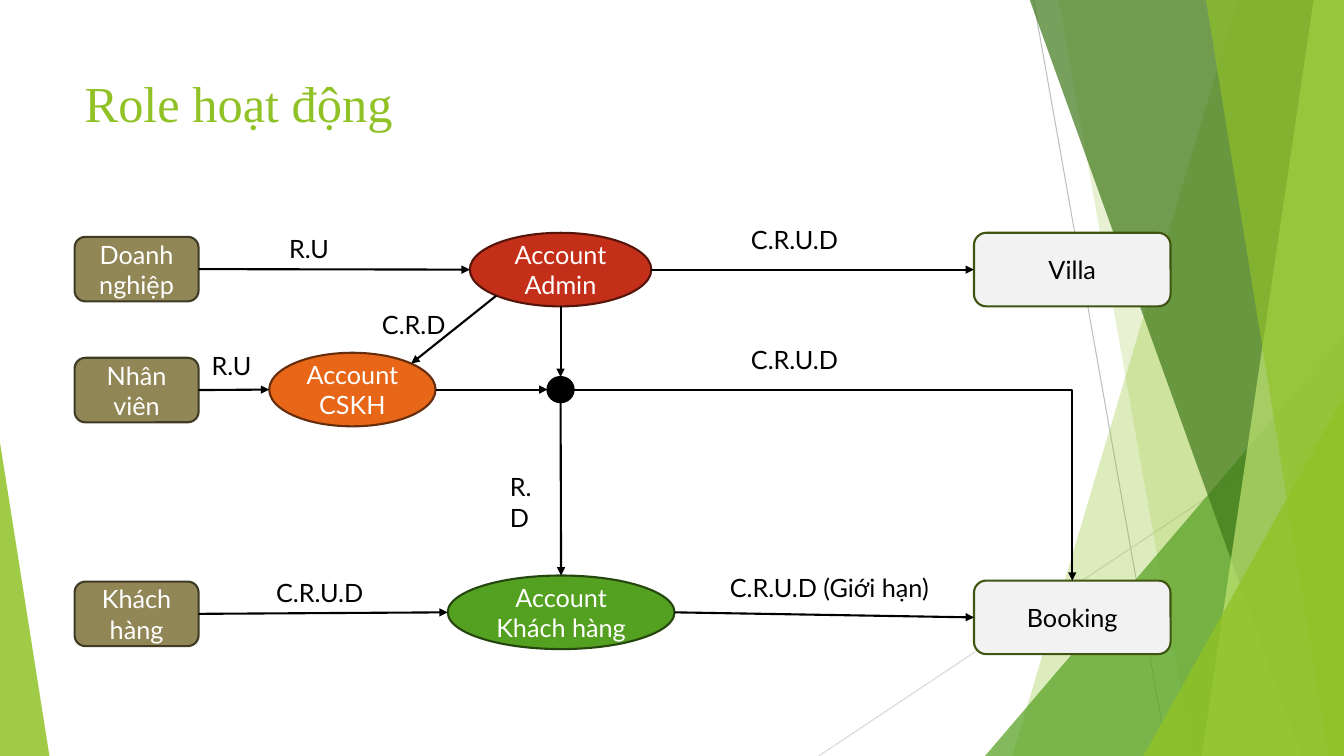
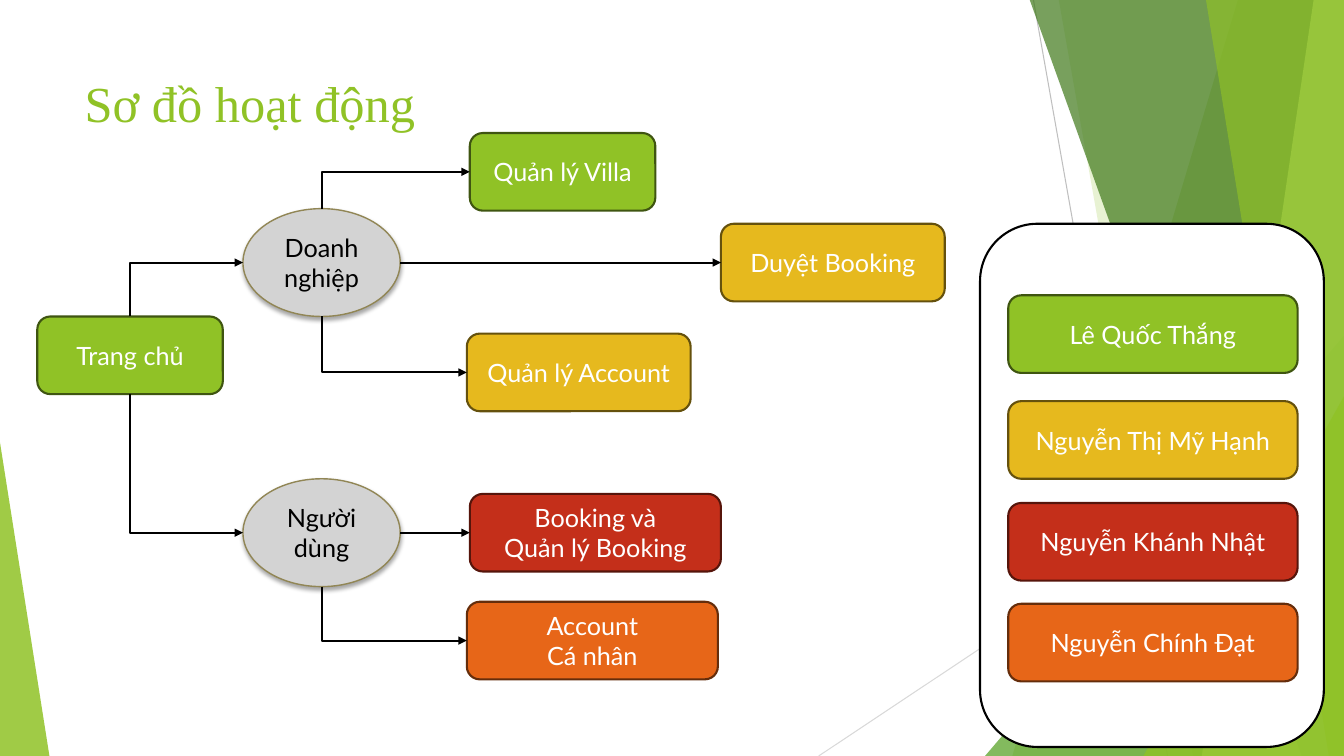
from lxml.etree import SubElement
from pptx import Presentation
from pptx.dml.color import RGBColor
from pptx.enum.shapes import MSO_CONNECTOR, MSO_SHAPE
from pptx.enum.text import MSO_ANCHOR, MSO_AUTO_SIZE, PP_ALIGN
from pptx.oxml.ns import qn
from pptx.util import Inches, Pt

WIDTH, HEIGHT = 13.33, 7.5
COLORS = {
    "lime": "90C226", "lime edge": "3F5511", "pale lime": "C0E474",
    "green": "54A021", "green edge": "25460E", "forest": "3F7819",
    "gold": "E6B91E", "gold edge": "65510D", "red": "C42F1A", "red edge": "56150B",
    "orange": "E76618", "orange edge": "652D0B", "olive": "918655",
    "olive edge": "403B25", "mist": "F2F2F2", "silver": "D3D3D3",
    "black": "000000", "white": "FFFFFF", "rule": "BFBFBF", "pale rule": "D9D9D9",
}
# Node styles: fill, outline, text colour, outline width
STYLES = {name: (name, name + " edge", "white", 1.5)
          for name in ("lime", "green", "gold", "red", "orange", "olive")}
STYLES.update({
    "target": ("mist", "lime edge", "black", 1.5),
    "area": ("silver", "olive", "black", 1),
    "dot": ("black", "black", "white", 1.5),
    "panel": ("white", "black", "black", 1.5),
})
TITLE_FONT = {"name": "Times New Roman", "size": Pt(36), "bold": False}
BODY_FONT = {"name": "Lato", "size": Pt(18)}
TITLE_BOX = {"left": Inches(0.74), "top": Inches(0.67),
             "width": Inches(9.4), "height": Inches(1.44)}
# Connection sites: ellipse index, share of width, share of height
SITES = {
    "top": (0, 0.5, 0), "left": (2, 0, 0.5), "low left": (3, 0.146, 0.854),
    "bottom": (4, 0.5, 1), "right": (6, 1, 0.5), "high right": (7, 0.854, 0.146),
}
ROUND, OVAL = MSO_SHAPE.ROUNDED_RECTANGLE, MSO_SHAPE.OVAL


def color(name):
    """Return the named colour."""
    return RGBColor.from_string(COLORS[name])


def set_values(target, values):
    """Set each attribute in a dict of format values."""
    for name, value in values.items():
        setattr(target, name, value)


def place(box, left, top, *size):
    """Return lengths for a position counted from the corner of a box."""
    return [Inches(value) for value in (box[0] + left, box[1] + top, *size)]


def write(frame, text, font, color_name, align):
    """Write one paragraph for each line of text."""
    for index, line in enumerate(text.split("\n")):
        para = frame.paragraphs[0] if index == 0 else frame.add_paragraph()
        para.alignment = align
        span = para.add_run()
        span.text = line
        set_values(span.font, font)
        span.font.color.rgb = color(color_name)


def paint(shape, fill, alpha=100):
    """Give a shape a plain fill with the given opacity."""
    shape.shadow.inherit = False
    shape.fill.solid()
    shape.fill.fore_color.rgb = color(fill)
    if alpha < 100:
        tone = shape.element.spPr.find(qn("a:solidFill")).find(qn("a:srgbClr"))
        SubElement(tone, qn("a:alpha"), val=str(alpha * 1000))


def draw_line(shapes, kind, start, end, color_name, width):
    """Draw a connector without a shadow."""
    line = shapes.add_connector(kind, *start, *end)
    line.line.color.rgb = color(color_name)
    line.line.width = Pt(width)
    SubElement(line.element.spPr, qn("a:effectLst"))
    return line


def add_scenery(page, master):
    """Build the green facets as one group and hand it to the master."""
    group = page.shapes.add_group_shape()
    shapes = group.shapes

    def facet(top, bottom, fill, alpha):
        """Draw a band that reaches from a slanted edge to the right side."""
        corners = [(Inches(x), Inches(y)) for x, y in (
            (top, -0.01), (WIDTH, -0.01), (WIDTH, HEIGHT), (bottom, HEIGHT))]
        builder = shapes.build_freeform(*corners[0])
        builder.add_line_segments(corners[1:], close=True)
        finish(builder.convert_to_shape(), fill, alpha)

    def wedge(left, top, width, peak, fill, alpha):
        """Draw a right triangle that stands on the lower edge."""
        shape = shapes.add_shape(MSO_SHAPE.ISOSCELES_TRIANGLE,
                                 *place((0, 0), left, top, width, HEIGHT - top))
        shape.adjustments[0] = peak
        finish(shape, fill, alpha)

    def finish(shape, fill, alpha):
        """Fill a facet and drop its outline."""
        paint(shape, fill, alpha)
        shape.line.fill.background()

    for start, end, tone in (((10.25, 0), (11.58, HEIGHT), "rule"),
                             ((WIDTH, 4.03), (8.12, HEIGHT), "pale rule")):
        draw_line(shapes, MSO_CONNECTOR.STRAIGHT, place((0, 0), *start),
                  place((0, 0), *end), tone, 0.75)
    facet(12.28, 10.04, "lime", 30)
    facet(10.5, 11.83, "lime", 20)
    wedge(9.77, 3.33, 3.56, 1, "green", 72)
    facet(10.21, 12.91, "forest", 70)
    facet(13.03, 11.92, "pale lime", 70)
    facet(11.96, 13.18, "lime", 65)
    wedge(11.34, 3.93, 1.99, 1, "lime", 80)
    wedge(0, 4.39, 0.49, 0, "lime", 85)
    for number, mark in enumerate(group.element.iter(qn("p:cNvPr")), 100):
        mark.set("id", str(number))
    master.shapes.element.insert(2, group.element)


def add_page(deck, title):
    """Add a title-only slide and format its title."""
    page = deck.slides.add_slide(deck.slide_layouts[5])
    heading = page.shapes.title
    set_values(heading, TITLE_BOX)
    set_values(heading.text_frame, {"vertical_anchor": MSO_ANCHOR.TOP,
                                    "word_wrap": True})
    write(heading.text_frame, title, TITLE_FONT, "lime", PP_ALIGN.LEFT)
    return page


def add_node(page, kind, text, bounds, style):
    """Add a filled and outlined shape with centred text."""
    fill, edge, text_color, width = STYLES[style]
    node = page.shapes.add_shape(kind, *bounds)
    paint(node, fill)
    node.line.color.rgb = color(edge)
    node.line.width = Pt(width)
    if text:
        set_values(node.text_frame, {"word_wrap": True,
                                     "vertical_anchor": MSO_ANCHOR.MIDDLE})
        write(node.text_frame, text, BODY_FONT, text_color, PP_ALIGN.CENTER)
    return node


def add_label(page, text, bounds, wrap=False):
    """Add a text label for an arrow."""
    label = page.shapes.add_textbox(*bounds)
    set_values(label.text_frame, {"word_wrap": wrap,
                                  "auto_size": MSO_AUTO_SIZE.SHAPE_TO_FIT_TEXT})
    write(label.text_frame, text, BODY_FONT, "black", PP_ALIGN.LEFT)


def add_soft_shadow(node):
    """Give a node a soft shadow below it."""
    effects = node.element.spPr.find(qn("a:effectLst"))
    shadow = SubElement(effects, qn("a:outerShdw"), blurRad=str(Pt(3)),
                        dist=str(Pt(2)), dir="5400000", rotWithShape="0")
    tone = SubElement(shadow, qn("a:srgbClr"), val=COLORS["black"])
    SubElement(tone, qn("a:alpha"), val="35000")


def site_point(node, site):
    """Return the point of a connection site on a node."""
    _, across, down = SITES[site]
    return (int(node.left + node.width * across), int(node.top + node.height * down))


def add_arrowhead(line):
    """Put a triangle at the end of a line."""
    SubElement(line.element.spPr.find(qn("a:ln")), qn("a:tailEnd"), type="triangle")


def add_arrow(page, source, source_site, target, target_site):
    """Join two nodes with a straight, attached arrow."""
    ends = ((source, source_site, "a:stCxn"), (target, target_site, "a:endCxn"))
    line = draw_line(page.shapes, MSO_CONNECTOR.STRAIGHT,
                     *(site_point(node, site) for node, site, _ in ends), "black", 1.5)
    add_arrowhead(line)
    links = next(line.element.iter(qn("p:cNvCxnSpPr")))
    for node, site, tag in ends:
        index = SITES[site][0]
        if node.auto_shape_type == ROUND:
            index //= 2
        SubElement(links, qn(tag), id=str(node.shape_id), idx=str(index))


def add_elbow(page, start, end, upright=True):
    """Draw an arrow with one corner; an upright one leaves vertically."""
    turn = 0
    if upright:
        rising = end[1] < start[1]
        middle_x, middle_y = (start[0] + end[0]) // 2, (start[1] + end[1]) // 2
        half_x, half_y = abs(end[1] - start[1]) // 2, (end[0] - start[0]) // 2
        if rising:
            half_y = -half_y
        start = (middle_x + half_x, middle_y - half_y)
        end = (middle_x - half_x, middle_y + half_y)
        turn = 90 if rising else 270
    line = draw_line(page.shapes, MSO_CONNECTOR.ELBOW, start, end, "black", 1.5)
    properties = line.element.spPr
    properties.find(qn("a:prstGeom")).set("prst", "bentConnector2")
    properties.find(qn("a:xfrm")).set("rot", str(turn * 60000))
    add_arrowhead(line)


def add_role_diagram(page, box):
    """Show which account may do what."""
    villa, booking = (add_node(page, ROUND, text, place(box, 8.92, top, 1.95, 0.73), "target")
                      for text, top in (("Villa", 0), ("Booking", 3.45)))
    admin, support, customer = (
        add_node(page, OVAL, text, place(box, left, top, width, 0.73), style)
        for text, left, top, width, style in (
            ("Account Admin", 3.92, 0, 1.8, "red"),
            ("Account CSKH", 1.93, 1.19, 1.65, "orange"),
            ("Account Khách hàng", 3.7, 3.4, 2.25, "green")))
    company, staff, guest = (
        add_node(page, ROUND, text, place(box, 0, top, 1.23, 0.64), "olive")
        for text, top in (("Doanh nghiệp", 0.04), ("Nhân viên", 1.24), ("Khách hàng", 3.46)))
    junction = add_node(page, OVAL, "", place(box, 4.69, 1.43, 0.26, 0.25), "dot")
    for source, target in ((company, admin), (staff, support), (guest, customer),
                           (admin, villa), (support, junction), (customer, booking)):
        add_arrow(page, source, "right", target, "left")
    for source, target in ((admin, junction), (junction, customer)):
        add_arrow(page, source, "bottom", target, "top")
    add_arrow(page, admin, "low left", support, "high right")
    add_elbow(page, site_point(junction, "right"), site_point(booking, "top"), upright=False)
    for text, left, top, width in (
            ("R.U", 2.03, -0.04, 0.61), ("C.R.U.D", 6.61, -0.13, 1.1),
            ("C.R.D", 2.95, 0.71, 0.84), ("R.U", 1.26, 1.12, 0.61),
            ("C.R.U.D", 6.61, 1.06, 1.1), ("C.R.U.D", 1.9, 3.37, 1.1),
            ("C.R.U.D (Giới hạn)", 6.4, 3.32, 2.29)):
        add_label(page, text, place(box, left, top, width, 0.4))
    add_label(page, "R.D", place(box, 4.22, 2.32, 0.57, 0.7), wrap=True)


def add_site_diagram(page, box):
    """Show the site's areas and the features below them."""
    home, villas, approval, accounts, bookings, profile = (
        add_node(page, ROUND, text, place(box, left, top, width, 0.77), style)
        for text, left, top, width, style in (
            ("Trang chủ", 0, 1.82, 1.84, "lime"),
            ("Quản lý Villa", 4.29, 0, 1.84, "lime"),
            ("Duyệt Booking", 6.78, 0.9, 2.22, "gold"),
            ("Quản lý Account", 4.26, 1.99, 2.22, "gold"),
            ("Booking và\nQuản lý Booking", 4.29, 3.58, 2.49, "red"),
            ("Account\nCá nhân", 4.26, 4.65, 2.49, "orange")))
    company, user = (add_node(page, OVAL, text, place(box, 2.04, top, 1.56, 1.07), "area")
                     for text, top in (("Doanh nghiệp", 0.75), ("Người dùng", 3.43)))
    for area in (company, user):
        add_soft_shadow(area)
    for source, site, target in ((home, "top", company), (home, "bottom", user),
                                 (company, "top", villas), (company, "bottom", accounts),
                                 (user, "bottom", profile)):
        add_elbow(page, site_point(source, site), site_point(target, "left"))
    for source, target in ((company, approval), (user, bookings)):
        add_arrow(page, source, "right", target, "left")


def add_legend(page, box):
    """List the members with the colour of their work."""
    add_node(page, ROUND, "", place(box, 0, 0, *box[2:]), "panel")
    for name, top, style in (("Lê Quốc Thắng", 0.71, "lime"),
                             ("Nguyễn Thị Mỹ Hạnh", 1.76, "gold"),
                             ("Nguyễn Khánh Nhật", 2.77, "red"),
                             ("Nguyễn Chính Đạt", 3.77, "orange")):
        add_node(page, ROUND, name, place(box, 0.28, top, box[2] - 0.54, 0.77), style)


deck = Presentation()
set_values(deck, {"slide_width": Inches(WIDTH), "slide_height": Inches(HEIGHT)})
roles = add_page(deck, "Role hoạt động")
add_scenery(roles, deck.slide_master)
add_role_diagram(roles, (0.74, 2.31))
workflow = add_page(deck, "Sơ đồ hoạt động")
add_site_diagram(workflow, (0.37, 1.32))
add_legend(workflow, (9.72, 2.22, 3.41, 5.19))
deck.save("out.pptx")
